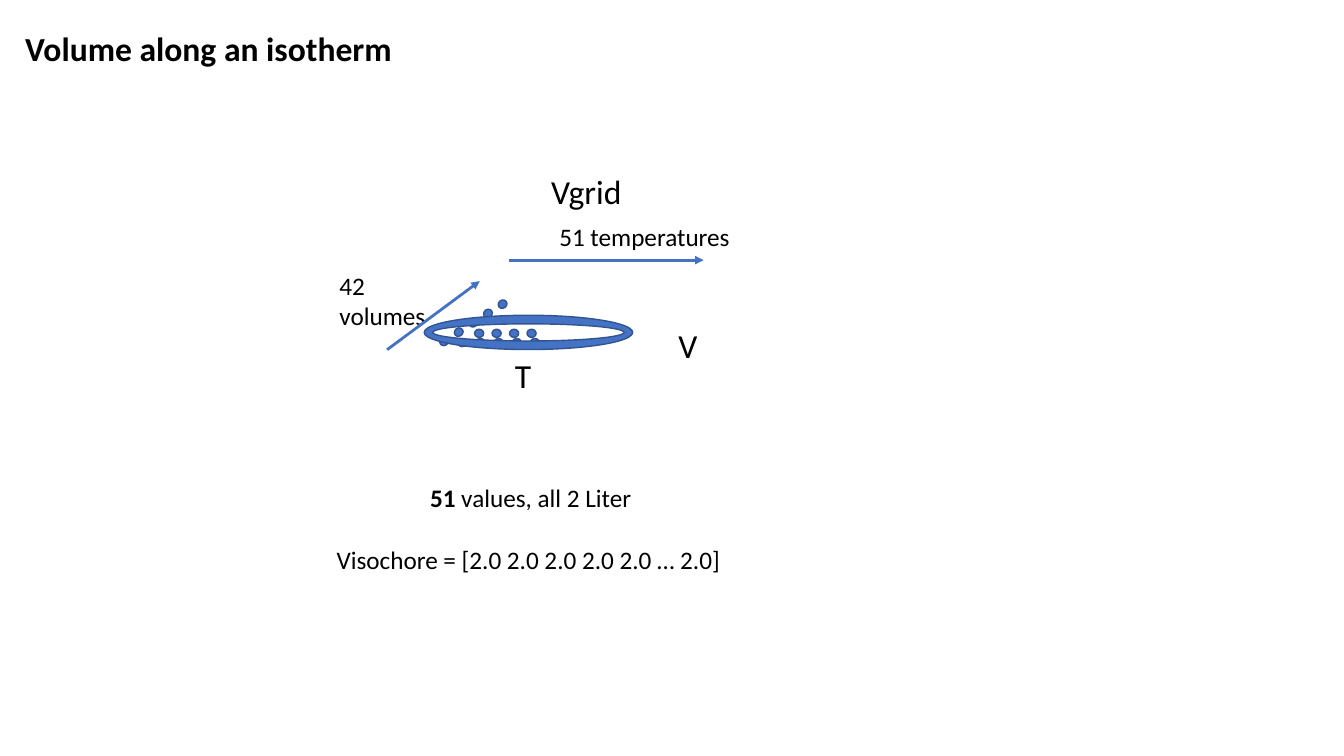
from lxml.etree import SubElement
from pptx import Presentation
from pptx.dml.color import RGBColor
from pptx.enum.shapes import MSO_CONNECTOR as Connector, MSO_SHAPE as Shape
from pptx.enum.text import MSO_ANCHOR as Anchor, MSO_AUTO_SIZE as AutoSize, PP_ALIGN as Align
from pptx.oxml.ns import qn
from pptx.util import Pt

COLORS = {"text": "000000", "accent": "4472C4", "outline": "325491"}


def color(name):
    return RGBColor.from_string(COLORS[name])


def add_text(paragraph, text, size=18, bold=False, align=Align.LEFT):
    paragraph.alignment = align
    run = paragraph.add_run()
    run.text = text
    font = run.font
    font.name, font.size, font.bold = "Calibri", Pt(size), bold
    font.color.rgb = color("text")


def place_box(slide, left, top, width, height, wrap=True):
    box = slide.shapes.add_textbox(Pt(left), Pt(top), Pt(width), Pt(height))
    frame = box.text_frame
    frame.word_wrap = wrap
    frame.auto_size = AutoSize.SHAPE_TO_FIT_TEXT
    return frame


def add_figure(slide, kind, left, top, width, height, rotation=0):
    figure = slide.shapes.add_shape(kind, Pt(left), Pt(top), Pt(width), Pt(height))
    figure.rotation = rotation
    figure.shadow.inherit = False
    figure.fill.solid()
    figure.fill.fore_color.rgb = color("accent")
    figure.line.color.rgb = color("outline")
    figure.line.width = Pt(1)


def add_dots(slide, left, top, count, step_x, step_y=0, rotation=0):
    for i in range(count):
        add_figure(slide, Shape.OVAL, left + i * step_x, top + i * step_y, 6.5, 5.8, rotation)


def add_arrow(slide, x1, y1, x2, y2):
    arrow = slide.shapes.add_connector(Connector.STRAIGHT, Pt(x1), Pt(y1), Pt(x2), Pt(y2))
    arrow.line.color.rgb = color("accent")
    arrow.line.width = Pt(2)
    SubElement(arrow.line._get_or_add_ln(), qn("a:tailEnd"), type="triangle")
    SubElement(arrow._element.spPr, qn("a:effectLst"))


def build_title(slide, left, top, width, height):
    title = slide.shapes.title
    title.left, title.top, title.width, title.height = Pt(left), Pt(top), Pt(width), Pt(height)
    frame = title.text_frame
    frame.word_wrap = True
    frame.auto_size = AutoSize.SHAPE_TO_FIT_TEXT
    frame.vertical_anchor = Anchor.TOP
    add_text(frame.paragraphs[0], "Volume along an isotherm", size=24, bold=True)


def build_values(slide, left, top, width, height):
    frame = place_box(slide, left, top, width, height, wrap=False)
    count = frame.paragraphs[0]
    add_text(count, "51", bold=True, align=Align.CENTER)
    add_text(count, " values, all 2 Liter", align=Align.CENTER)
    isochore = frame.add_paragraph()
    isochore.space_before = Pt(22)
    add_text(isochore, "Visochore = [2.0 2.0 2.0 2.0 2.0 … 2.0]")


def build_grid(slide, left, top):
    labels = [
        ("Vgrid", 24, 151.6, 0, 65.5, 36, False),
        ("51 temperatures", 18, 157.4, 36, 167, 29, True),
        ("T", 24, 125.7, 131, 82, 36, True),
        ("V", 24, 242.4, 110, 82, 36, True),
        ("42 volumes", 18, 0.4, 70.4, 92.2, 51, True),
    ]
    for text, size, x, y, width, height, wrap in labels:
        frame = place_box(slide, left + x, top + y, width, height, wrap)
        add_text(frame.paragraphs[0], text, size=size)
    add_arrow(slide, left + 128.6, top + 67, left + 267.6, top + 67)
    add_dots(slide, left + 79, top + 122.2, 5, 10.44, -6.66, 323.5)
    add_dots(slide, left + 92, top + 123, 5, 12.96)
    add_arrow(slide, left + 41.5, top + 131, left + 107.7, top + 82)
    add_figure(slide, Shape.DONUT, left + 68, top + 106.4, 149, 24.5)
    add_dots(slide, left + 104, top + 116.4, 4, 12.48)


def main():
    deck = Presentation()
    deck.slide_width, deck.slide_height = Pt(960), Pt(540)
    slide = deck.slides.add_slide(deck.slide_layouts[5])
    build_title(slide, 10.8, 16.6, 939, 36)
    build_values(slide, 233.3, 341.3, 291.6, 72.7)
    build_grid(slide, 235, 118.8)
    deck.save("out.pptx")


if __name__ == "__main__":
    main()
